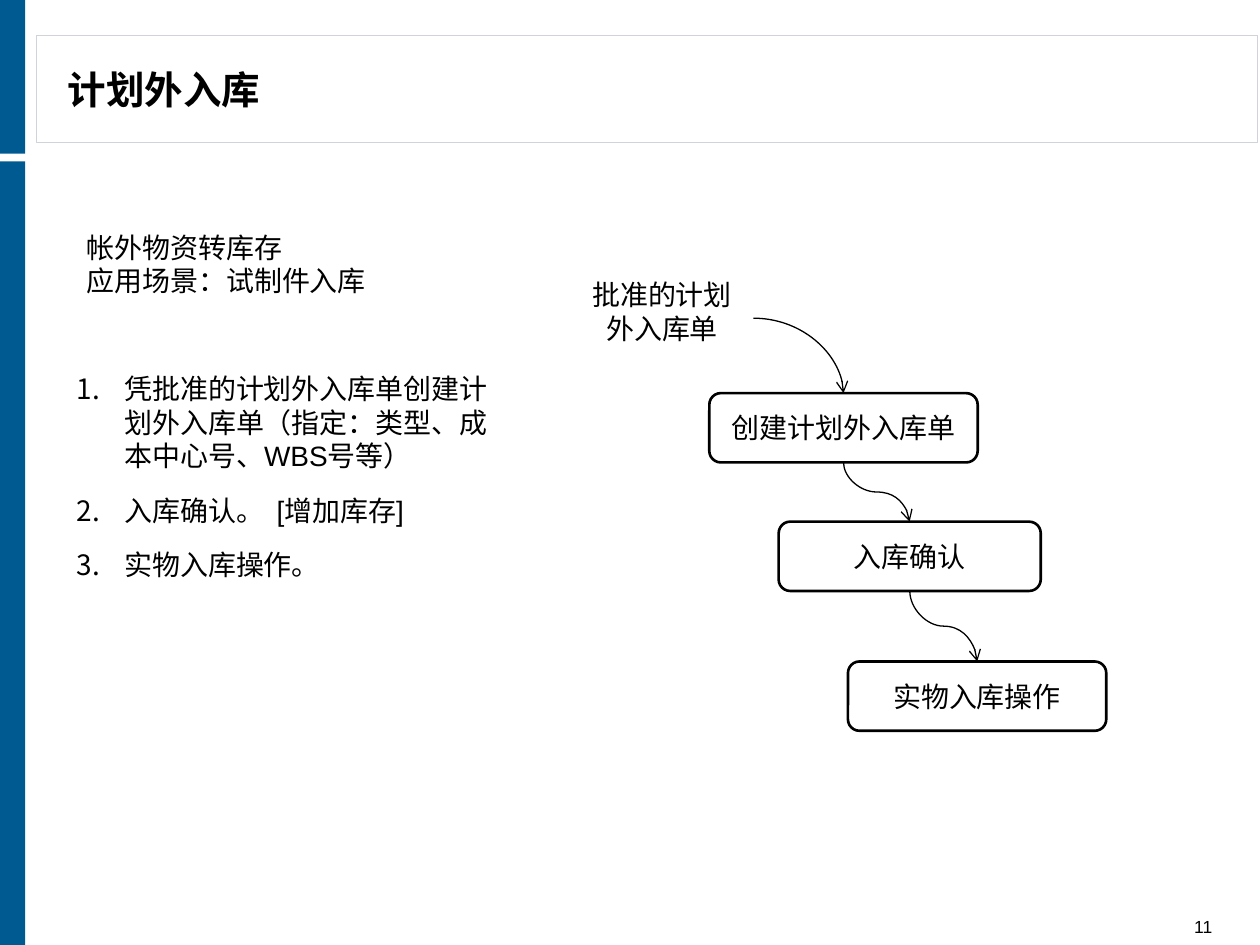
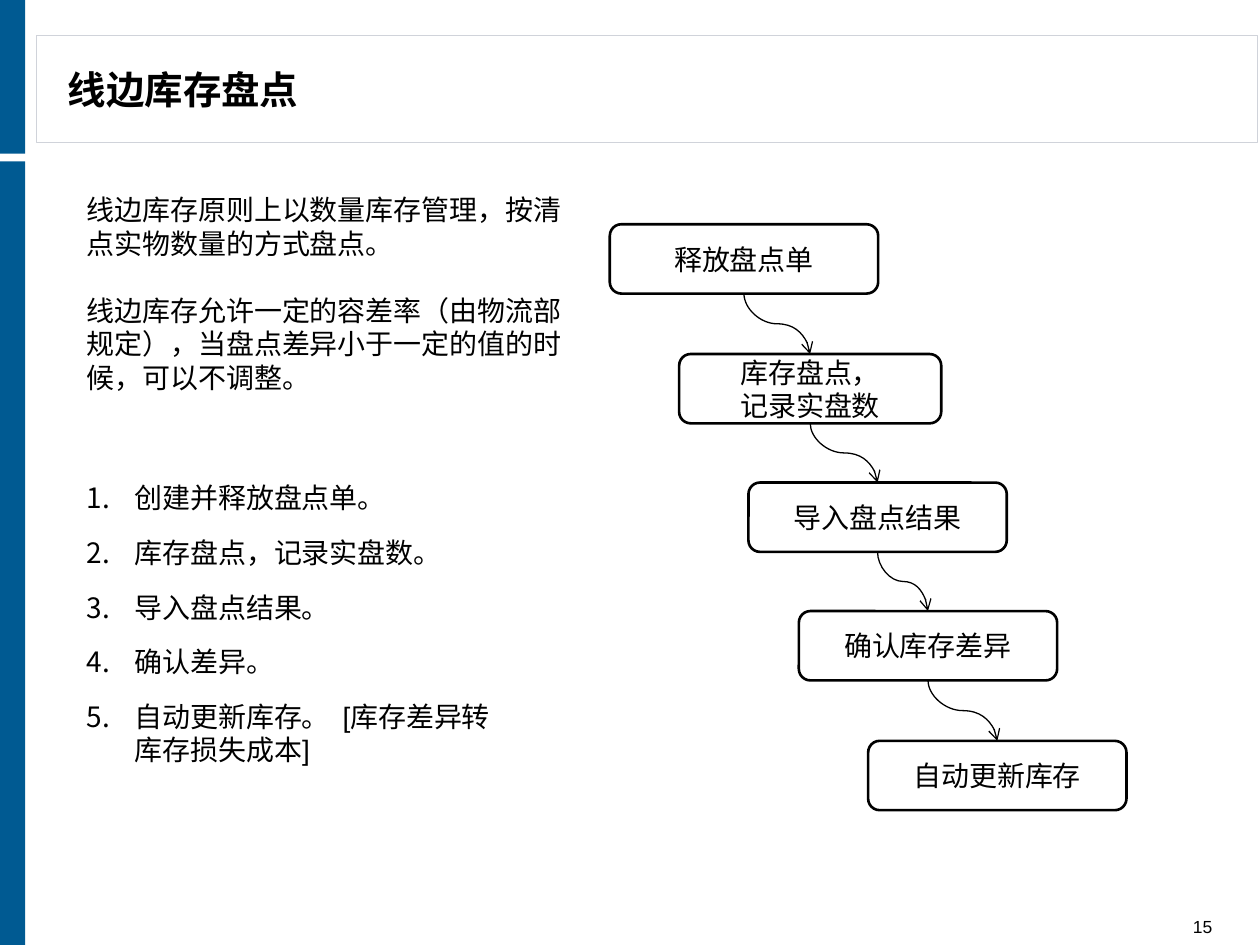
from lxml.etree import SubElement
from pptx import Presentation
from pptx.dml.color import RGBColor
from pptx.enum.lang import MSO_LANGUAGE_ID as Language
from pptx.enum.shapes import MSO_CONNECTOR as Connector, MSO_SHAPE as Shape
from pptx.enum.text import MSO_ANCHOR as Anchor, PP_ALIGN as Align
from pptx.oxml.ns import qn
from pptx.util import Inches, Pt

COLORS = {"band": "005A92", "frame": "D0D3DA", "paper": "FFFFFF", "ink": "000000"}
FONT = {"name": "Arial", "size": Pt(16), "bold": False,
        "language_id": Language.SIMPLIFIED_CHINESE}
TITLE_FONT = FONT | {"size": Pt(22), "bold": True}
NUMBER_FONT = FONT | {"size": Pt(10)}
MIDDLE = {"word_wrap": True, "vertical_anchor": Anchor.MIDDLE,
          "margin_top": 0, "margin_bottom": 0}
BOTTOM = MIDDLE | {"vertical_anchor": Anchor.BOTTOM}
TOP = {"word_wrap": True, "vertical_anchor": Anchor.TOP}
LEFT = {"alignment": Align.LEFT}
CENTER = {"alignment": Align.CENTER}
RIGHT = {"alignment": Align.RIGHT}
LIST = LEFT | {"space_before": Pt(6), "space_after": Pt(6)}
LIST_INDENT = Inches(0.38)
BOX_HEIGHT = 0.55
SITE_TOP, SITE_BOTTOM, SITE_RIGHT = 0, 2, 3

BANDS = [
    (0.29, 0.28, 9.69, 0.85, "paper", "frame"),
    (0, 1.28, 0.2, 6.22, "band", None),
    (0, 0, 0.2, 1.22, "band", None),
]

SLIDES = [
    {
        "title": "计划外入库",
        "number": "11",
        "document": (4.53, 2.25, 1.45, "批准的计划外入库单"),
        "boxes": [
            (5.63, 3.12, 2.13, ["创建计划外入库单"]),
            (6.18, 4.14, 2.08, ["入库确认"]),
            (6.73, 5.25, 2.05, ["实物入库操作"]),
        ],
        "list_at": (0.51, 2.33, 3.54, 3.62),
        "list": [
            "凭批准的计划外入库单创建计划外入库单（指定：类型、成本中心号、WBS号等）",
            "入库确认。  [增加库存]",
            "实物入库操作。",
        ],
        "intro_at": (0.59, 1.78, 3.15, 0.64),
        "intro": ["帐外物资转库存", "应用场景：试制件入库"],
        "intro_gap": Pt(0),
    },
    {
        "title": "线边库存盘点",
        "number": "15",
        "document": None,
        "boxes": [
            (4.84, 1.78, 2.13, ["释放盘点单"]),
            (5.39, 2.81, 2.08, ["库存盘点，", "记录实盘数"]),
            (5.94, 3.83, 2.05, ["导入盘点结果"]),
            (6.34, 4.85, 2.05, ["确认库存差异"]),
            (6.89, 5.88, 2.05, ["自动更新库存"]),
        ],
        "list_at": (0.59, 3.59, 3.54, 3.39),
        "list": [
            "创建并释放盘点单。",
            "库存盘点，记录实盘数。",
            "导入盘点结果。",
            "确认差异。",
            "自动更新库存。  [库存差异转库存损失成本]",
        ],
        "intro_at": (0.59, 1.48, 4.02, 1.72),
        "intro": [
            "线边库存原则上以数量库存管理，按清点实物数量的方式盘点。",
            "线边库存允许一定的容差率（由物流部规定），当盘点差异小于一定的值的时候，可以不调整。",
        ],
        "intro_gap": Pt(19),
    },
]


def add_panel(slide, kind, at, fill, line=None, width=1.5):
    shape = slide.shapes.add_shape(kind, *map(Inches, at))
    shape.shadow.inherit = False
    shape.fill.solid()
    shape.fill.fore_color.rgb = RGBColor.from_string(COLORS[fill])
    if line:
        shape.line.color.rgb = RGBColor.from_string(COLORS[line])
        shape.line.width = Pt(width)
    else:
        shape.line.fill.background()
    return shape


def write(shape, lines, frame_format, paragraph_format, font_format=FONT):
    frame = shape.text_frame
    frame.text = "\n".join(lines)
    for name, value in frame_format.items():
        setattr(frame, name, value)
    for paragraph in frame.paragraphs:
        for name, value in paragraph_format.items():
            setattr(paragraph, name, value)
        font = paragraph.runs[0].font
        for name, value in font_format.items():
            setattr(font, name, value)
        font.color.rgb = RGBColor.from_string(COLORS["ink"])
    return frame.paragraphs


presentation = Presentation()
presentation.slide_width = Inches(10)
presentation.slide_height = Inches(7.5)

for content in SLIDES:
    slide = presentation.slides.add_slide(presentation.slide_layouts[6])
    for *at, fill, line in BANDS:
        add_panel(slide, Shape.RECTANGLE, at, fill, line, 0.75)
    title = slide.shapes.add_textbox(*map(Inches, (0.44, 0.31, 6.3, 0.79)))
    write(title, [content["title"]], MIDDLE, LEFT, TITLE_FONT)
    number = slide.shapes.add_textbox(*map(Inches, (8.78, 7.26, 0.94, 0.18)))
    write(number, [content["number"]], BOTTOM, RIGHT, NUMBER_FONT)

    steps = []
    if content["document"]:
        left, top, width, label = content["document"]
        document = add_panel(slide, Shape.FLOWCHART_DOCUMENT,
                             (left, top, width, BOX_HEIGHT), "paper")
        write(document, [label], MIDDLE, CENTER)
        steps.append(document)
    for left, top, width, lines in content["boxes"]:
        box = add_panel(slide, Shape.ROUNDED_RECTANGLE,
                        (left, top, width, BOX_HEIGHT), "paper", "ink")
        write(box, lines, MIDDLE, CENTER)
        steps.append(box)

    for source, target in zip(steps, steps[1:]):
        from_document = source.auto_shape_type == Shape.FLOWCHART_DOCUMENT
        arrow = slide.shapes.add_connector(Connector.CURVE, 0, 0, 0, 0)
        arrow.begin_connect(source, SITE_RIGHT if from_document else SITE_BOTTOM)
        arrow.end_connect(target, SITE_TOP)
        arrow.line.color.rgb = RGBColor.from_string(COLORS["ink"])
        arrow.line.width = Pt(0.75)
        properties = arrow.element.spPr
        SubElement(properties.find(qn("a:ln")), qn("a:tailEnd"), type="arrow")
        SubElement(properties, qn("a:effectLst"))
        if from_document:
            properties.find(qn("a:prstGeom")).set("prst", "curvedConnector2")
        else:
            across, down = arrow.width, arrow.height
            arrow.left += (across - down) // 2
            arrow.top += (down - across) // 2
            arrow.width, arrow.height = down, across
            transform = properties.find(qn("a:xfrm"))
            transform.set("rot", str(270 * 60000))
            transform.set("flipH", "1")

    procedure = add_panel(slide, Shape.FLOWCHART_DOCUMENT, content["list_at"], "paper")
    for paragraph in write(procedure, content["list"], MIDDLE, LIST):
        settings = paragraph._p.get_or_add_pPr()
        settings.set("marL", str(LIST_INDENT))
        settings.set("indent", str(-LIST_INDENT))
        SubElement(settings, qn("a:buFont"), typeface="+mj-lt")
        SubElement(settings, qn("a:buAutoNum"), type="arabicPeriod")

    intro = slide.shapes.add_textbox(*map(Inches, content["intro_at"]))
    paragraphs = write(intro, content["intro"], TOP, LEFT)
    paragraphs[-1].space_before = content["intro_gap"]

presentation.save("out.pptx")
